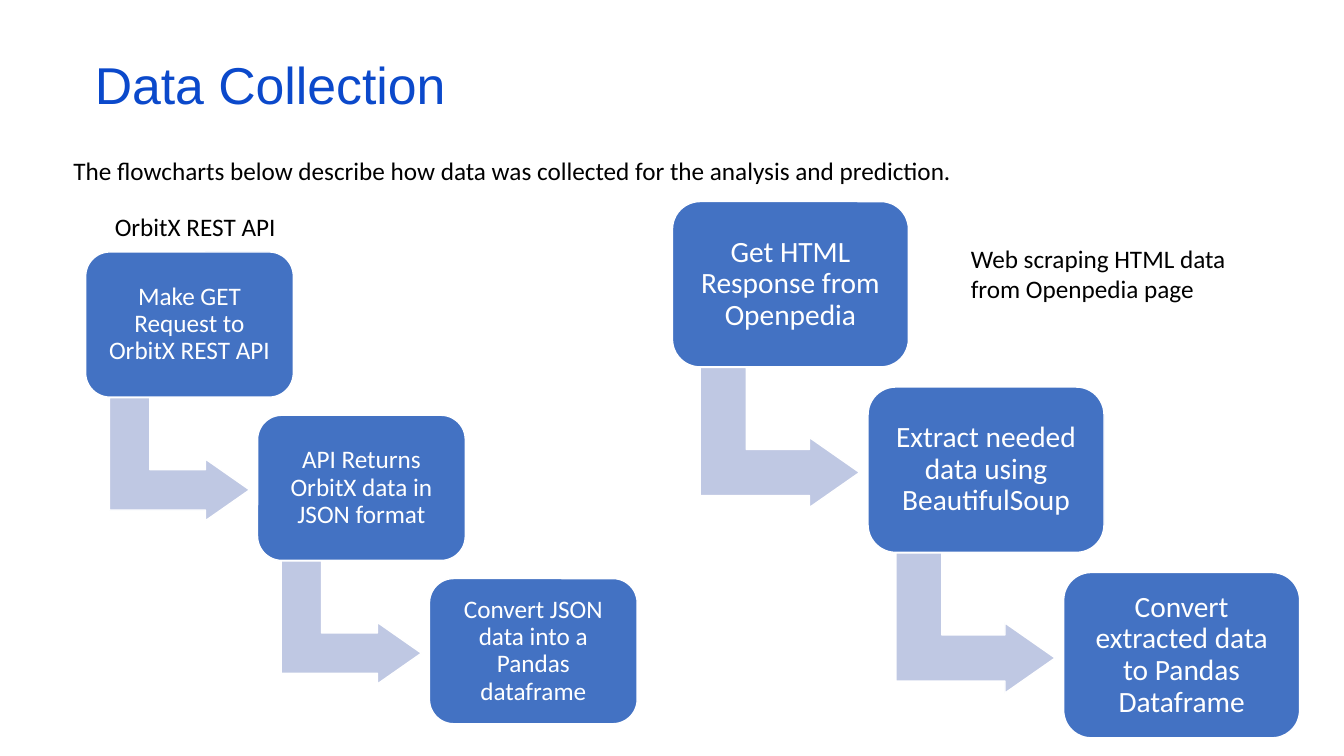
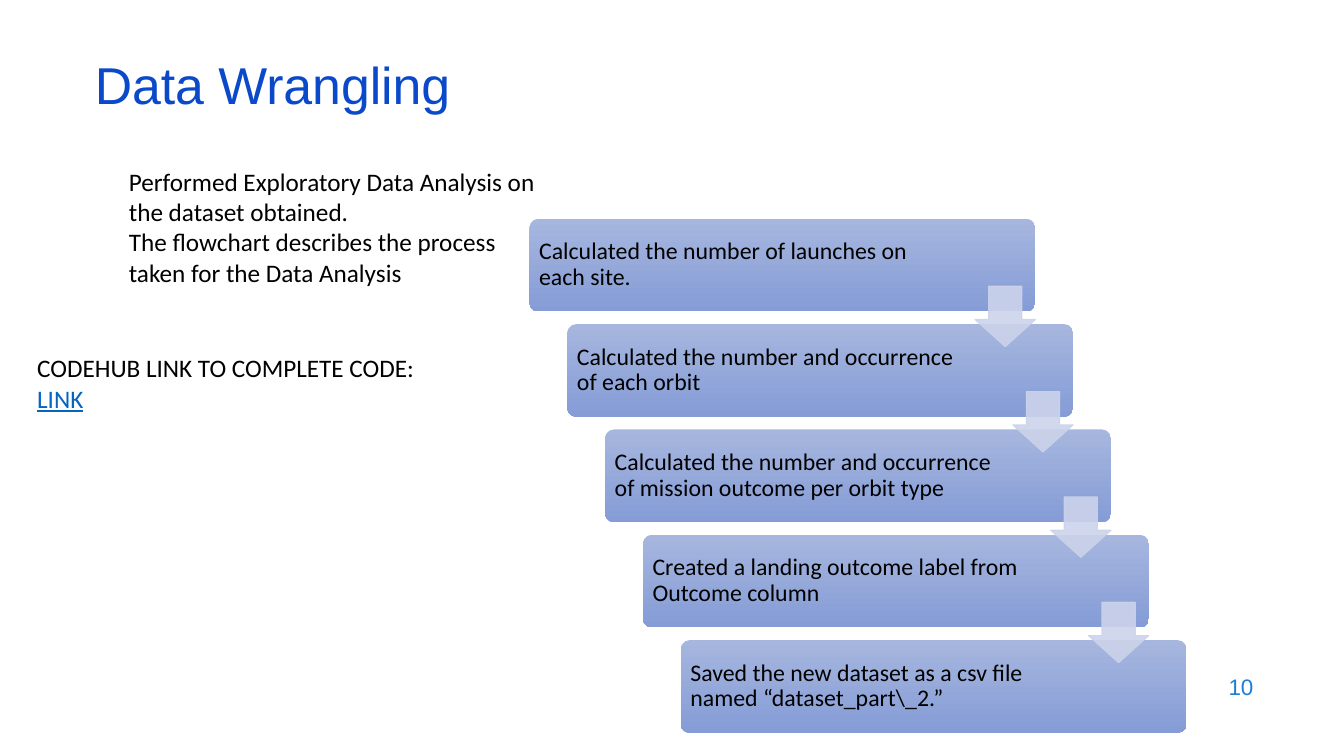
import pptx
import pptx.util
import pptx.dml.color
import pptx.enum.shapes
import pptx.enum.text
import pptx.oxml.ns
import lxml.etree

Inches = pptx.util.Inches
Pt = pptx.util.Pt
RGBColor = pptx.dml.color.RGBColor
SHAPE = pptx.enum.shapes.MSO_SHAPE
ALIGN = pptx.enum.text.PP_ALIGN
ANCHOR = pptx.enum.text.MSO_ANCHOR
AUTO_SIZE = pptx.enum.text.MSO_AUTO_SIZE

TITLE_BLUE = RGBColor(0x0B, 0x49, 0xCB)
NUMBER_BLUE = RGBColor(0x1C, 0x7D, 0xDB)
LINK_BLUE = RGBColor(0x05, 0x63, 0xC1)
STEP_BLUE = RGBColor(0x43, 0x72, 0xC3)
BEND_BLUE = RGBColor(0xBF, 0xC8, 0xE3)
DROP_BLUE = RGBColor(0xCC, 0xD3, 0xEA)
GRADIENT_TOP = RGBColor(0xA6, 0xB6, 0xDE)
GRADIENT_BOTTOM = RGBColor(0x85, 0x9C, 0xD6)
WHITE = RGBColor(0xFF, 0xFF, 0xFF)
BLACK = RGBColor(0, 0, 0)

TITLE = {"size": 37, "font": "Arial", "color": TITLE_BLUE, "paragraph": {"line_spacing": 0.8, "alignment": ALIGN.LEFT}}
NUMBER = {"size": 16, "font": "Arial", "color": NUMBER_BLUE, "paragraph": {"alignment": ALIGN.RIGHT}}
NOTE = {"size": 18, "font": "Calibri", "color": BLACK, "paragraph": {"alignment": ALIGN.LEFT}}
STEP = {"size": 18, "font": "Calibri", "color": WHITE, "paragraph": {"line_spacing": 0.9, "alignment": ALIGN.CENTER}}
STAGE = {"size": 17, "font": "Calibri", "color": BLACK, "paragraph": {"line_spacing": 0.9, "alignment": ALIGN.LEFT}}


def write(shape, lines, style, margins=(0.1, 0.05, 0.1, 0.05), anchor=ANCHOR.MIDDLE):
    frame = shape.text_frame
    left, top, right, bottom = (Inches(margin) for margin in margins)
    frame_format = {
        "auto_size": AUTO_SIZE.NONE,
        "word_wrap": True,
        "vertical_anchor": anchor,
        "margin_left": left,
        "margin_top": top,
        "margin_right": right,
        "margin_bottom": bottom,
    }
    for name, value in frame_format.items():
        setattr(frame, name, value)
    for index, line in enumerate(lines):
        paragraph = frame.add_paragraph() if index else frame.paragraphs[0]
        for name, value in style["paragraph"].items():
            setattr(paragraph, name, value)
        run = paragraph.add_run()
        run.text = line
        for name, value in {"size": Pt(style["size"]), "name": style["font"]}.items():
            setattr(run.font, name, value)
        run.font.color.rgb = style["color"]
    return frame


def draw(slide, kind, box, adjustments, fill=None, line=None, line_width=1):
    shape = slide.shapes.add_shape(kind, *(Inches(length) for length in box))
    shape.shadow.inherit = False
    for index, value in enumerate(adjustments):
        shape.adjustments[index] = value
    if fill is not None:
        shape.fill.solid()
        shape.fill.fore_color.rgb = fill
    if line is None:
        shape.line.fill.background()
    else:
        shape.line.color.rgb = line
        shape.line.width = Pt(line_width)
    return shape


deck = pptx.Presentation()
deck.slide_width = Inches(13.33)
deck.slide_height = Inches(7.5)

slides = []
for heading in ["Data Collection", "Data Wrangling"]:
    slide = deck.slides.add_slide(deck.slide_layouts[5])
    title_place = {"left": 0.84, "top": 0.59, "width": 11.5, "height": 0.6}
    for name, value in title_place.items():
        setattr(slide.shapes.title, name, Inches(value))
    write(slide.shapes.title, [heading], TITLE)
    slides.append(slide)
collection, wrangling = slides

flowcharts = [
    {
        "origin": (0.85, 2.5), "pitch": (1.705, 1.62), "step": (2.06, 1.44),
        "bend": (0.32, 1.36, 1.22, 1.39), "margin": 0.07, "size": 18,
        "steps": [
            "Make GET Request to OrbitX REST API",
            "API Returns OrbitX data in JSON format",
            "Convert JSON data into a Pandas dataframe",
        ],
    },
    {
        "origin": (6.67, 2), "pitch": (1.94, 1.84), "step": (2.34, 1.64),
        "bend": (0.37, 1.55, 1.39, 1.58), "margin": 0.09, "size": 21,
        "steps": [
            "Get HTML Response from Openpedia",
            "Extract needed data using BeautifulSoup",
            "Convert extracted data to Pandas Dataframe",
        ],
    },
]
for flow in flowcharts:
    for index, text in enumerate(flow["steps"]):
        left, top = (start + index * pitch for start, pitch in zip(flow["origin"], flow["pitch"]))
        if index < len(flow["steps"]) - 1:
            across, down, width, height = flow["bend"]
            bend_box = (left + across, top + down, width, height)
            bend = draw(collection, SHAPE.BENT_UP_ARROW, bend_box, [0.328, 0.25, 0.358], BEND_BLUE, WHITE)
            bend.rotation = 90
        step = draw(collection, SHAPE.ROUNDED_RECTANGLE, (left, top, *flow["step"]), [0.167], STEP_BLUE, WHITE)
        write(step, [text], {**STEP, "size": flow["size"]}, [flow["margin"]] * 4)

stages = [
    "Calculated the number of launches on each site.",
    "Calculated the number and occurrence of each orbit",
    "Calculated the number and occurrence of mission outcome per orbit type",
    "Created a landing outcome label from Outcome column",
    "Saved the new dataset as a csv file named “dataset_part\\_2.”",
]
stage_corners = [(5.25 + 0.375 * index, 2.17 + 1.045 * index) for index in range(len(stages))]
for (left, top), text in zip(stage_corners, stages):
    stage = draw(wrangling, SHAPE.ROUNDED_RECTANGLE, (left, top, 5.02, 0.92), [0.1])
    stage.fill.gradient()
    stage.fill.gradient_angle = 270
    for stop, color in zip(stage.fill.gradient_stops, [GRADIENT_TOP, GRADIENT_BOTTOM]):
        stop.color.rgb = color
    write(stage, [text], STAGE, (0.07, 0.07, 1.04, 0.07))
for left, top in stage_corners[:-1]:
    drop_box = (left + 4.42, top + 0.67, 0.6, 0.6)
    drop = draw(wrangling, SHAPE.DOWN_ARROW, drop_box, [0.55, 0.45], DROP_BLUE, DROP_BLUE, 0.75)
    for color in drop._element.spPr.iter(pptx.oxml.ns.qn("a:srgbClr")):
        lxml.etree.SubElement(color, pptx.oxml.ns.qn("a:alpha"), val="90000")

notes = [
    (collection, (1.04, 2.05, 2.2, 0.4), ["OrbitX REST API"]),
    (collection, (9.53, 2.36, 2.81, 0.71), ["Web scraping HTML data from Openpedia page"]),
    (collection, (0.63, 1.49, 11.2, 0.4), [
        "The flowcharts below describe how data was collected for the analysis and prediction.",
    ]),
    (wrangling, (1.18, 1.6, 4.25, 1.31), [
        "Performed Exploratory Data Analysis on the dataset obtained.",
        "The flowchart describes the process taken for the Data Analysis",
    ]),
    (wrangling, (0.27, 3.45, 4.48, 0.71), ["CODEHUB LINK TO COMPLETE CODE:", "LINK"]),
]
for slide, box, lines in notes:
    note = slide.shapes.add_textbox(*(Inches(length) for length in box))
    frame = write(note, lines, NOTE, anchor=ANCHOR.TOP)
    if lines[-1] == "LINK":
        link_font = frame.paragraphs[-1].runs[0].font
        link_font.underline = True
        link_font.color.rgb = LINK_BLUE

page_number = wrangling.shapes.add_textbox(Inches(9.53), Inches(6.59), Inches(3), Inches(0.44))
write(page_number, ["10"], NUMBER)

deck.save("out.pptx")
